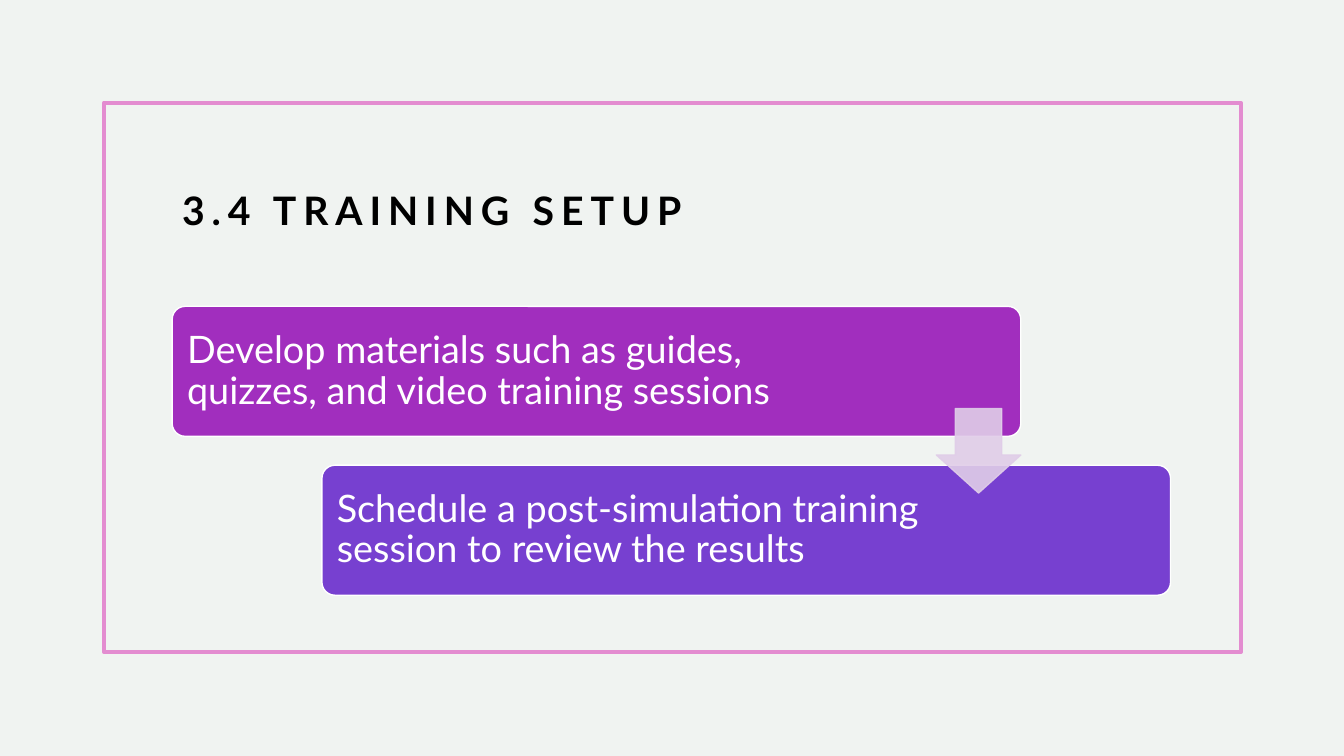
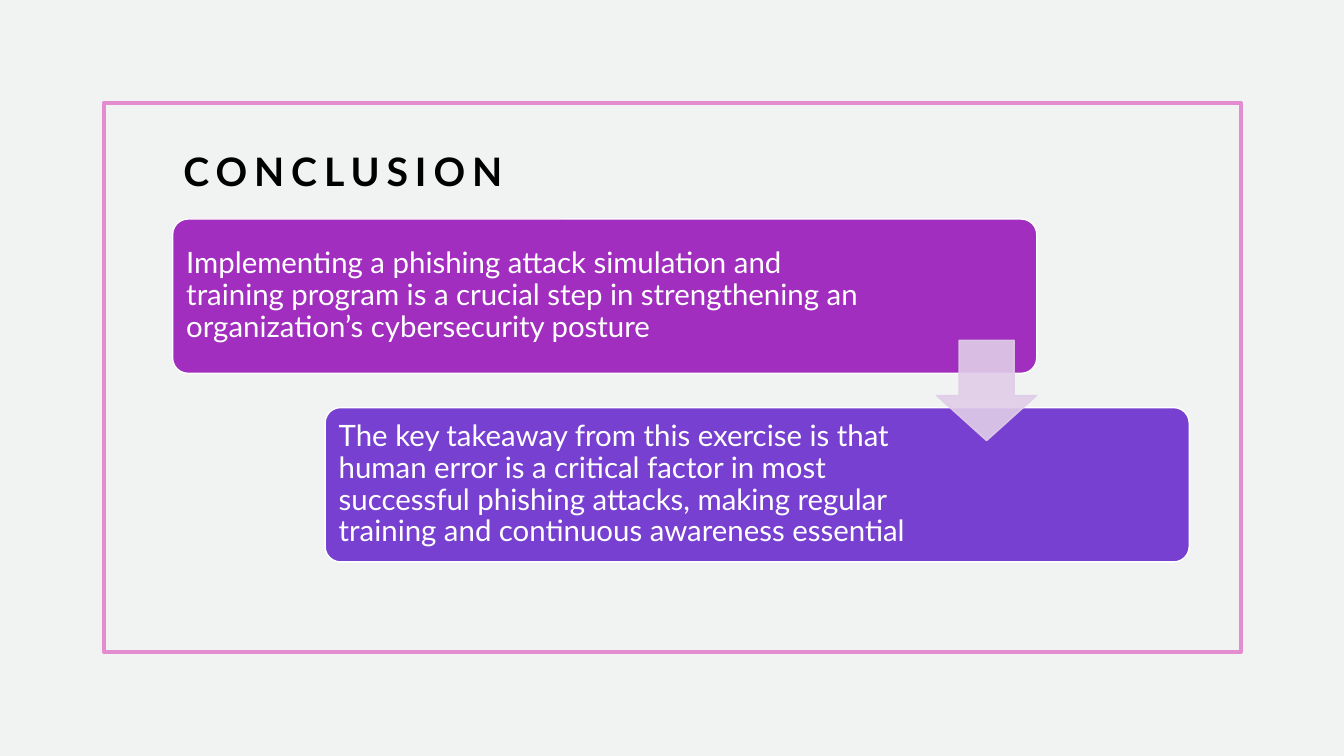
from dataclasses import dataclass

from pptx import Presentation
from pptx.dml.color import RGBColor as RGB
from pptx.enum.shapes import MSO_SHAPE as Kind
from pptx.enum.text import MSO_ANCHOR as Anchor, PP_ALIGN as Align
from pptx.oxml.ns import qn
from pptx.oxml.xmlchemy import OxmlElement as Node
from pptx.util import Cm, Pt


@dataclass(frozen=True)
class Theme:
    font: str = "Lato"
    paper: str = "F0F3F1"
    border: str = "E38CD0"
    ink: str = "000000"
    white: str = "FFFFFF"
    cards: tuple = ("A12EBE", "7740D0")
    arrow: str = "E0CDE8"
    alpha: int = 90
    title: int = 28
    large: int = 27
    small: int = 21


THEME = Theme()


def write(shape, text, size, color, bold=False, track=0, lead=1.0, pads=None):
    """Put text in a shape; pads are left, top, right, bottom in cm."""
    frame = shape.text_frame
    frame.word_wrap = True
    frame.vertical_anchor = Anchor.MIDDLE
    if pads:
        (frame.margin_left, frame.margin_top,
         frame.margin_right, frame.margin_bottom) = map(Cm, pads)
    para = frame.paragraphs[0]
    para.alignment = Align.LEFT
    para.line_spacing = lead
    run = para.add_run()
    run.text = text
    font = run.font
    font.name, font.size, font.bold = THEME.font, Pt(size), bold
    font.color.rgb = RGB.from_string(color)
    if track:
        run._r.get_or_add_rPr().set("spc", str(track * 100))


def draw(slide, kind, box, fill=None, line=THEME.white, width=1, adjust=()):
    shape = slide.shapes.add_shape(kind, *map(Cm, box))
    shape.shadow.inherit = False
    if fill:
        shape.fill.solid()
        shape.fill.fore_color.rgb = RGB.from_string(fill)
    else:
        shape.fill.background()
    shape.line.color.rgb = RGB.from_string(line)
    shape.line.width = Pt(width)
    for index, value in enumerate(adjust):
        shape.adjustments[index] = value
    return shape


def fade(shape, percent):
    """Make the fill and line of a shape partly opaque."""
    for color in shape._element.spPr.iter(qn("a:srgbClr")):
        alpha = Node("a:alpha")
        alpha.set("val", str(percent * 1000))
        color.append(alpha)


def page(deck, title, box):
    """Add a slide with the shared background, border and title."""
    slide = deck.slides.add_slide(deck.slide_layouts[6])
    slide.background.fill.solid()
    slide.background.fill.fore_color.rgb = RGB.from_string(THEME.paper)
    draw(slide, Kind.RECTANGLE, (2.62, 2.59, 28.65, 13.84),
         line=THEME.border, width=3)
    label = slide.shapes.add_textbox(*map(Cm, box))
    write(label, title, THEME.title, THEME.ink, bold=True, track=5, lead=1.2)
    return slide


def stairs(slide, box, texts, size, pad):
    """Draw two cards stepping down to the right, with an arrow between."""
    left, top, width, height = box
    wide, high = 0.85 * width, 0.45 * height
    step, drop = width - wide, height - high
    side = 0.65 * high
    # The text stays clear of the arrow
    clear = (1.5 * side, step + side)
    for index, (text, fill, gap) in enumerate(zip(texts, THEME.cards, clear)):
        place = (left + index * step, top + index * drop, wide, high)
        card = draw(slide, Kind.ROUNDED_RECTANGLE, place, fill, adjust=(0.1,))
        write(card, text, size, THEME.white, lead=0.9,
              pads=(pad, pad, gap + pad, pad))
    place = (left + wide - side, top + (height - side) / 2, side, side)
    arrow = draw(slide, Kind.DOWN_ARROW, place, THEME.arrow, THEME.arrow,
                 adjust=(0.55, 0.45))
    fade(arrow, THEME.alpha)


def main():
    deck = Presentation()
    deck.slide_width, deck.slide_height = Cm(33.87), Cm(19.05)

    setup = page(deck, "3.4 TRAINING SETUP", (4.34, 3.61, 18.97, 3.12))
    stairs(setup, (4.34, 7.72, 25.16, 7.28), (
        "Develop materials such as guides, quizzes, and video training "
        "sessions",
        "Schedule a post-simulation training session to review the results",
    ), THEME.large, 0.28)

    close = page(deck, "CONCLUSION", (4.37, 3.23, 18.97, 1.9))
    stairs(close, (4.35, 5.52, 25.62, 8.64), (
        "Implementing a phishing attack simulation and training program is "
        "a crucial step in strengthening an organization’s cybersecurity "
        "posture",
        "The key takeaway from this exercise is that human error is a "
        "critical factor in most successful phishing attacks, making "
        "regular training and continuous awareness essential",
    ), THEME.small, 0.23)

    deck.save("out.pptx")


if __name__ == "__main__":
    main()
